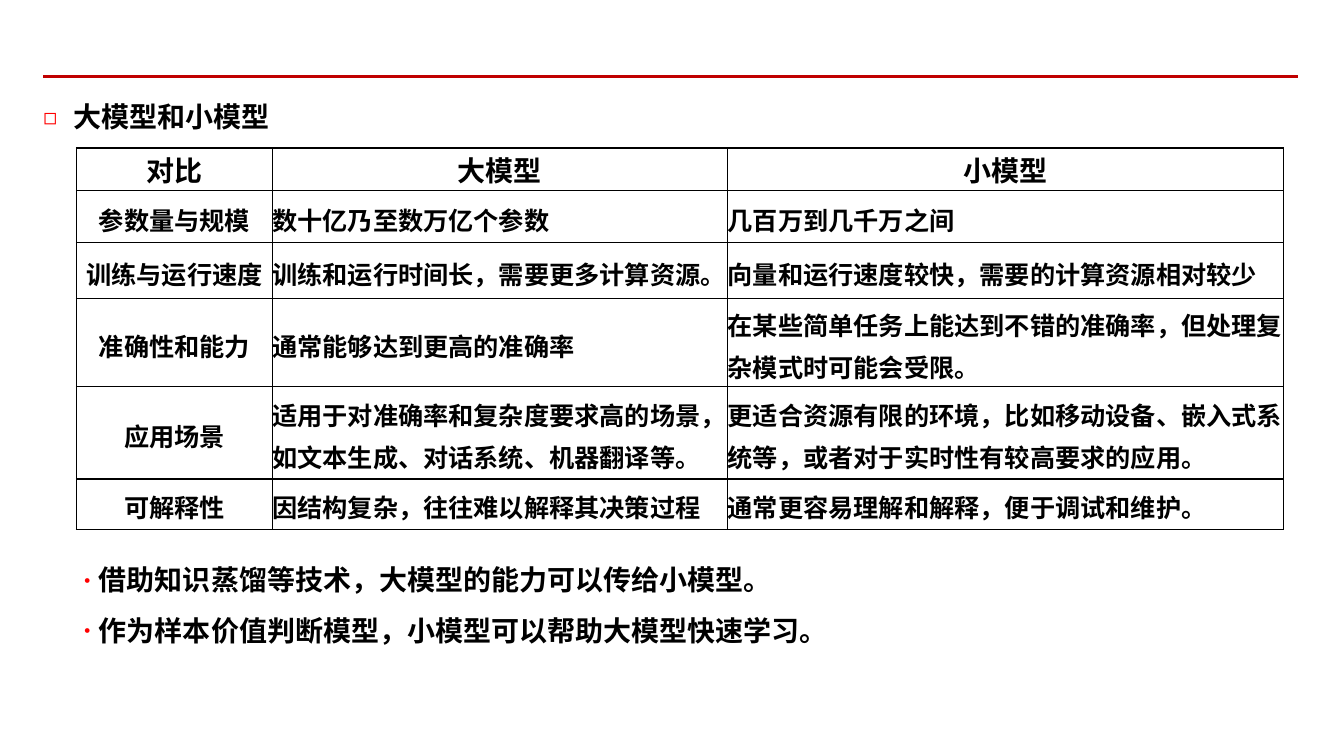
from lxml import etree
from pptx import Presentation, util as u
from pptx.dml.color import RGBColor
from pptx.enum import shapes, text
from pptx.oxml.ns import qn

FONT = "Noto Sans CJK SC"
INK = {"text": "000000", "rule": "C00000", "mark": "FF0000", "grid": "000000"}
COLS = [4.93, 11.48, 14]
ROWS = [1.07, 1.32, 1.4, 2.21, 2.34, 1.27]
CELLS = [
    ["对比", "大模型", "小模型"],
    ["参数量与规模", "数十亿乃至数万亿个参数", "几百万到几千万之间"],
    ["训练与运行速度", "训练和运行时间长，需要更多计算资源。",
     "向量和运行速度较快，需要的计算资源相对较少"],
    ["准确性和能力", "通常能够达到更高的准确率",
     "在某些简单任务上能达到不错的准确率，但处理复杂模式时可能会受限。"],
    ["应用场景", "适用于对准确率和复杂度要求高的场景，如文本生成、对话系统、机器翻译等。",
     "更适合资源有限的环境，比如移动设备、嵌入式系统等，或者对于实时性有较高要求的应用。"],
    ["可解释性", "因结构复杂，往往难以解释其决策过程",
     "通常更容易理解和解释，便于调试和维护。"],
]
POINTS = ["借助知识蒸馏等技术，大模型的能力可以传给小模型。",
          "作为样本价值判断模型，小模型可以帮助大模型快速学习。"]


def add(parent, tag, **attrs):
    return etree.SubElement(parent, qn(tag), attrs)


def style(para, size, align):
    para.alignment = align
    para.line_spacing = u.Pt(30)
    para.space_before = u.Pt(0)
    for run in para.runs:
        run.font.size = u.Pt(size)
        run.font.bold = True
        run.font.name = FONT
        run.font.color.rgb = RGBColor.from_string(INK["text"])
        add(run.font._element, "a:ea", typeface=FONT)


def bullet(para, sign, indent):
    props = para._p.get_or_add_pPr()
    props.set("marL", str(u.Cm(indent)))
    props.set("indent", str(-u.Cm(indent)))
    add(add(props, "a:buClr"), "a:srgbClr", val=INK["mark"])
    add(props, "a:buSzPct", val="80000")
    add(props, "a:buFont", typeface=FONT)
    add(props, "a:buChar", char=sign)


def listing(holder, box, lines, sign, indent):
    """Fill a placeholder with bulleted lines."""
    holder.left, holder.top, holder.width, holder.height = map(u.Cm, box)
    frame = holder.text_frame
    frame.text = "\n".join(lines)
    frame.word_wrap = True
    frame.auto_size = text.MSO_AUTO_SIZE.NONE
    frame.vertical_anchor = text.MSO_ANCHOR.TOP
    frame.margin_left = frame.margin_right = 0
    frame.margin_top = frame.margin_bottom = 0
    for para in frame.paragraphs:
        bullet(para, sign, indent)
        style(para, 20, text.PP_ALIGN.LEFT)
        para.space_after = u.Pt(6)


def rule(slide, left, top, width):
    """Red line across the head of the slide."""
    line = slide.shapes.add_connector(
        shapes.MSO_CONNECTOR.STRAIGHT,
        u.Cm(left), u.Cm(top), u.Cm(left + width), u.Cm(top))
    line.line.color.rgb = RGBColor.from_string(INK["rule"])
    line.line.width = u.Pt(2)
    add(line._element.spPr, "a:effectLst")


def border(cell):
    props = cell._tc.get_or_add_tcPr()
    for place, side in enumerate("LRTB"):
        edge = etree.Element(qn("a:ln" + side), w=str(u.Pt(1)))
        add(add(edge, "a:solidFill"), "a:srgbClr", val=INK["grid"])
        props.insert(place, edge)


def grid(slide, left, top):
    """Table comparing large and small models."""
    table = slide.shapes.add_table(
        len(ROWS), len(COLS), u.Cm(left), u.Cm(top),
        u.Cm(sum(COLS)), u.Cm(sum(ROWS))).table
    table.first_row = table.horz_banding = False
    for col, width in zip(table.columns, COLS):
        col.width = u.Cm(width)
    for r, (row, height) in enumerate(zip(table.rows, ROWS)):
        row.height = u.Cm(height)
        for c, cell in enumerate(row.cells):
            head = r == 0
            cell.text_frame.text = CELLS[r][c]
            cell.margin_left = cell.margin_right = 0
            cell.margin_top = cell.margin_bottom = 0
            cell.vertical_anchor = (text.MSO_ANCHOR.TOP if head
                                    else text.MSO_ANCHOR.MIDDLE)
            cell.fill.background()
            border(cell)
            style(cell.text_frame.paragraphs[0], 20 if head else 18,
                  text.PP_ALIGN.CENTER if head or c == 0
                  else text.PP_ALIGN.LEFT)


def main():
    deck = Presentation()
    deck.slide_width, deck.slide_height = u.Cm(33.87), u.Cm(19.05)
    slide = deck.slides.add_slide(deck.slide_layouts[1])
    rule(slide, 1.09, 1.93, 31.63)
    listing(slide.shapes.title, (1.09, 2.29, 6.05, 1.07),
            ["大模型和小模型"], "◻", 0.76)
    grid(slide, 1.93, 3.73)
    listing(slide.placeholders[1], (1.93, 13.97, 19.02, 2.36),
            POINTS, "•", 0.48)
    deck.save("out.pptx")


if __name__ == "__main__":
    main()
